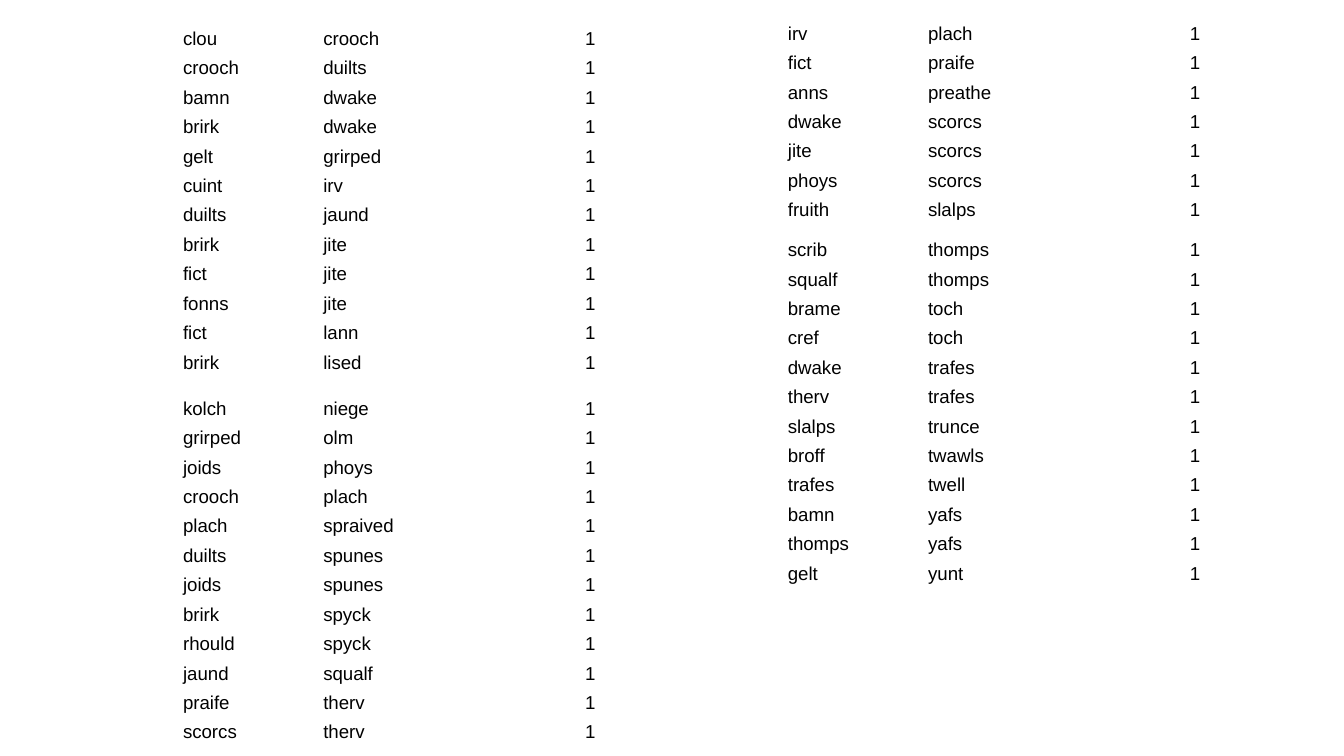
import pptx
import pptx.dml.color
import pptx.enum.text
import pptx.oxml.ns
import pptx.util

Cm = pptx.util.Cm
COLORS = {"background": "FFFFFF", "text": "000000"}
NO_GRID_STYLE = "{2D5ABB26-0587-4C30-8999-92F81FD0307C}"
LEFT, RIGHT = 3.38, 14.81

WORD_TABLES = [
    (LEFT, 0.43, [
        ("clou", "crooch"), ("crooch", "duilts"), ("bamn", "dwake"),
        ("brirk", "dwake"), ("gelt", "grirped"), ("cuint", "irv"),
        ("duilts", "jaund"), ("brirk", "jite"), ("fict", "jite"),
        ("fonns", "jite"), ("fict", "lann"), ("brirk", "lised"),
    ]),
    (RIGHT, 0.33, [
        ("irv", "plach"), ("fict", "praife"), ("anns", "preathe"),
        ("dwake", "scorcs"), ("jite", "scorcs"), ("phoys", "scorcs"),
        ("fruith", "slalps"),
    ]),
    (LEFT, 7.42, [
        ("kolch", "niege"), ("grirped", "olm"), ("joids", "phoys"),
        ("crooch", "plach"), ("plach", "spraived"), ("duilts", "spunes"),
        ("joids", "spunes"), ("brirk", "spyck"), ("rhould", "spyck"),
        ("jaund", "squalf"), ("praife", "therv"), ("scorcs", "therv"),
    ]),
    (RIGHT, 4.42, [
        ("scrib", "thomps"), ("squalf", "thomps"), ("brame", "toch"),
        ("cref", "toch"), ("dwake", "trafes"), ("therv", "trafes"),
        ("slalps", "trunce"), ("broff", "twawls"), ("trafes", "twell"),
        ("bamn", "yafs"), ("thomps", "yafs"), ("gelt", "yunt"),
    ]),
]


class SlideBuilder:
    font = "Arial"
    size = pptx.util.Pt(10)
    line_spacing = 1.15
    col_width = Cm(2.65)
    row_height = Cm(6.68) // 12
    margin_x, margin_y = Cm(0.08), Cm(0.05)

    def __init__(self, prs):
        self.s = prs.slides.add_slide(prs.slide_layouts[6])
        fill = self.s.background.fill
        fill.solid()
        fill.fore_color.rgb = self.color("background")

    def color(self, name):
        return pptx.dml.color.RGBColor.from_string(COLORS[name])

    def cell(self, cell, text, align):
        cell.fill.background()
        cell.vertical_anchor = pptx.enum.text.MSO_ANCHOR.BOTTOM
        cell.margin_left = cell.margin_right = self.margin_x
        cell.margin_top = cell.margin_bottom = self.margin_y
        p = cell.text_frame.paragraphs[0]
        p.alignment = align
        p.line_spacing = self.line_spacing
        r = p.add_run()
        r.text = text
        r.font.name = self.font
        r.font.size = self.size
        r.font.color.rgb = self.color("text")

    def table(self, left, top, rows):
        align = pptx.enum.text.PP_ALIGN
        aligns = (align.LEFT, align.LEFT, align.RIGHT)
        frame = self.s.shapes.add_table(
            len(rows), len(aligns), Cm(left), Cm(top),
            self.col_width * len(aligns), self.row_height * len(rows))
        table = frame.table
        table.first_row = table.horz_banding = False
        style = next(frame._element.iter(pptx.oxml.ns.qn("a:tableStyleId")))
        style.text = NO_GRID_STYLE
        for column in table.columns:
            column.width = self.col_width
        for row, texts in zip(table.rows, rows):
            row.height = self.row_height
            for cell, text, al in zip(row.cells, texts, aligns):
                self.cell(cell, text, al)


def main():
    prs = pptx.Presentation()
    prs.slide_width, prs.slide_height = Cm(25.4), Cm(14.29)
    builder = SlideBuilder(prs)
    for left, top, pairs in WORD_TABLES:
        builder.table(left, top, [(*pair, "1") for pair in pairs])
    prs.save("out.pptx")


if __name__ == "__main__":
    main()
